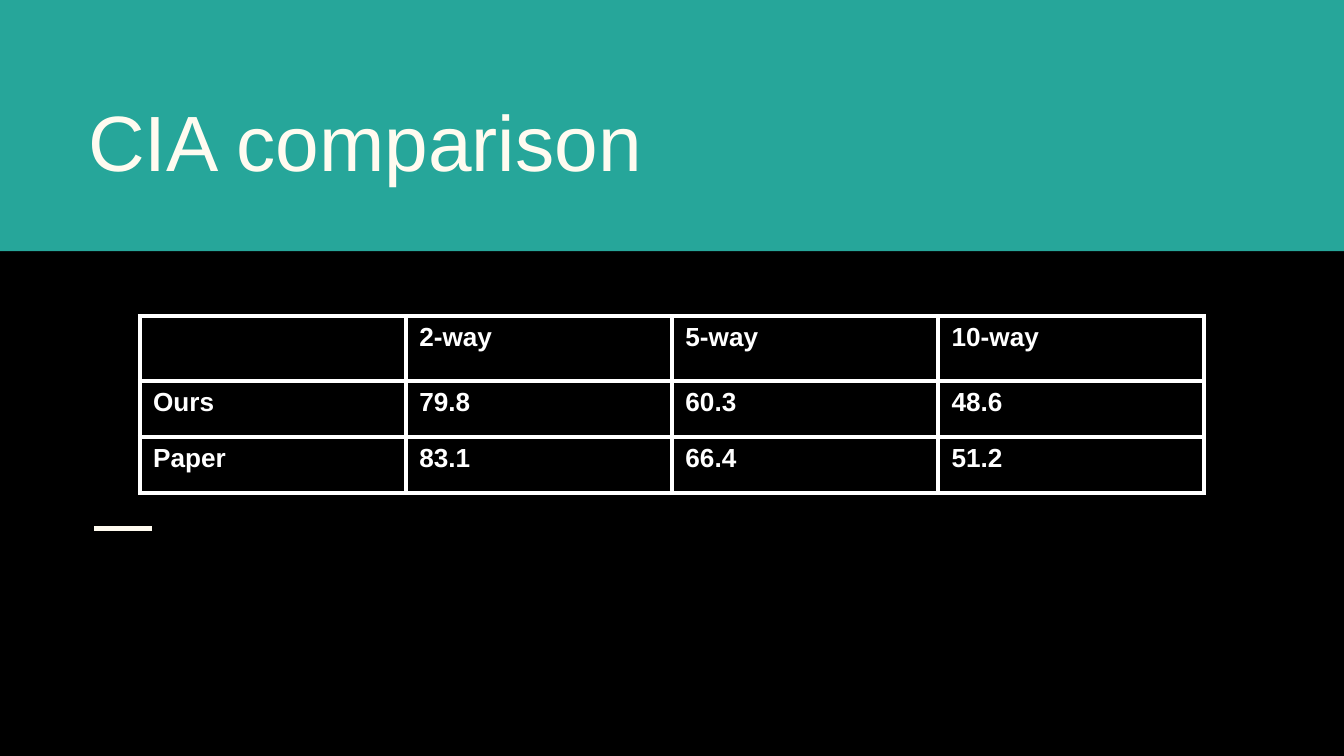
"""Build the CIA comparison slide."""
from dataclasses import dataclass

from lxml import etree
from pptx import Presentation
from pptx import util as u
from pptx.dml.color import RGBColor
from pptx.enum import shapes, text
from pptx.oxml import ns


@dataclass(frozen=True)
class Theme:
    """Hold the colours, font and sizes of the slide."""
    background: str = "000000"
    banner: str = "26A69A"
    cream: str = "FFFBF0"
    white: str = "FFFFFF"
    font: str = "Arial"
    title_size: float = 42
    table_size: float = 14
    line_width: float = 2.25


THEME = Theme()
RESULTS = [
    ["", "2-way", "5-way", "10-way"],
    ["Ours", "79.8", "60.3", "48.6"],
    ["Paper", "83.1", "66.4", "51.2"],
]
ROW_HEIGHTS = [1.23, 1.06, 1.06]
COLUMN_WIDTH = 5.03


def paint(fill, color):
    """Make a fill solid in the given colour."""
    fill.solid()
    fill.fore_color.rgb = RGBColor.from_string(color)


def write(frame, content, *, size, color, bold=False):
    """Write one formatted line with even insets into a text frame."""
    frame.margin_left = frame.margin_right = u.Cm(0.25)
    frame.margin_top = frame.margin_bottom = u.Cm(0.25)
    span = frame.paragraphs[0].add_run()
    span.text = content
    span.font.name = THEME.font
    span.font.size = u.Pt(size)
    span.font.bold = bold
    span.font.color.rgb = RGBColor.from_string(color)


def add_banner(page, width, height):
    """Add the coloured band across the top."""
    banner = page.shapes.add_shape(shapes.MSO_SHAPE.RECTANGLE, 0, 0, width, height)
    banner.shadow.inherit = False
    paint(banner.fill, THEME.banner)
    banner.line.fill.background()


def add_accent(page, left, top, width):
    """Add the short horizontal accent line."""
    accent = page.shapes.add_connector(
        shapes.MSO_CONNECTOR.STRAIGHT, left, top, left + width, top)
    accent.line.color.rgb = RGBColor.from_string(THEME.cream)
    accent.line.width = u.Pt(THEME.line_width)
    etree.SubElement(accent.element.spPr, ns.qn("a:effectLst"))


def add_title(page, content):
    """Add the title, anchored to the bottom of its box."""
    box = page.shapes.add_textbox(u.Cm(1.42), u.Cm(-0.46), u.Cm(22.56), u.Cm(4.24))
    box.text_frame.word_wrap = True
    box.text_frame.vertical_anchor = text.MSO_ANCHOR.BOTTOM
    write(box.text_frame, content, size=THEME.title_size, color=THEME.cream)


def add_borders(cell):
    """Draw a solid border on all four sides of a cell."""
    properties = cell._tc.get_or_add_tcPr()
    for index, side in enumerate(("lnL", "lnR", "lnT", "lnB")):
        border = etree.Element(ns.qn(f"a:{side}"), w=str(u.Pt(THEME.line_width)))
        fill = etree.SubElement(border, ns.qn("a:solidFill"))
        etree.SubElement(fill, ns.qn("a:srgbClr"), val=THEME.white)
        properties.insert(index, border)


def add_results(page, left, top):
    """Add the bordered table of results."""
    columns = len(RESULTS[0])
    table = page.shapes.add_table(
        len(RESULTS), columns, left, top,
        u.Cm(COLUMN_WIDTH * columns), u.Cm(sum(ROW_HEIGHTS))).table
    for column in table.columns:
        column.width = u.Cm(COLUMN_WIDTH)
    for row, height, values in zip(table.rows, ROW_HEIGHTS, RESULTS):
        row.height = u.Cm(height)
        for cell, value in zip(row.cells, values):
            paint(cell.fill, THEME.background)
            add_borders(cell)
            write(cell.text_frame, value, size=THEME.table_size,
                  color=THEME.white, bold=True)


def main():
    """Assemble and save the deck."""
    deck = Presentation()
    deck.slide_width, deck.slide_height = u.Cm(25.4), u.Cm(14.29)
    page = deck.slides.add_slide(deck.slide_layouts[6])
    paint(page.background.fill, THEME.background)
    add_banner(page, deck.slide_width, u.Cm(4.75))
    add_accent(page, u.Cm(1.78), u.Cm(9.99), u.Cm(1.09))
    add_title(page, "CIA comparison")
    add_results(page, u.Cm(2.64), u.Cm(5.97))
    deck.save("out.pptx")


if __name__ == "__main__":
    main()
